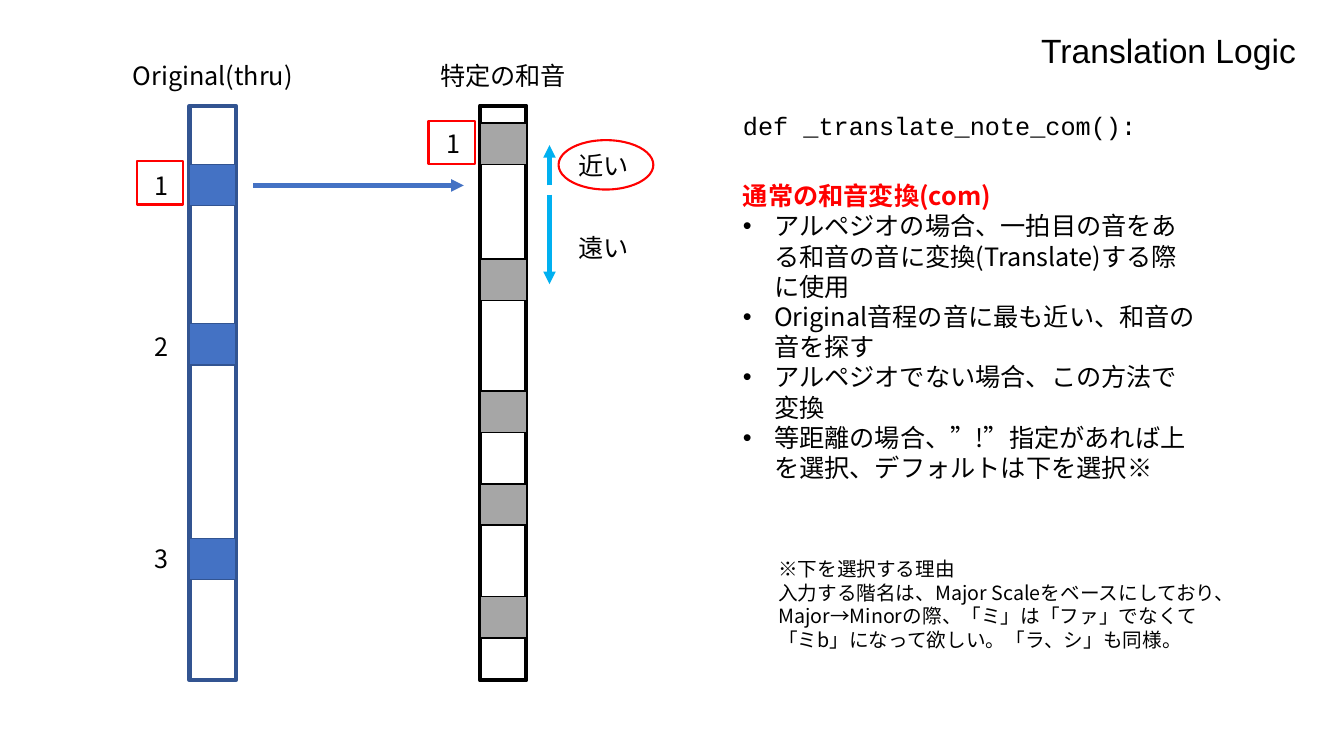
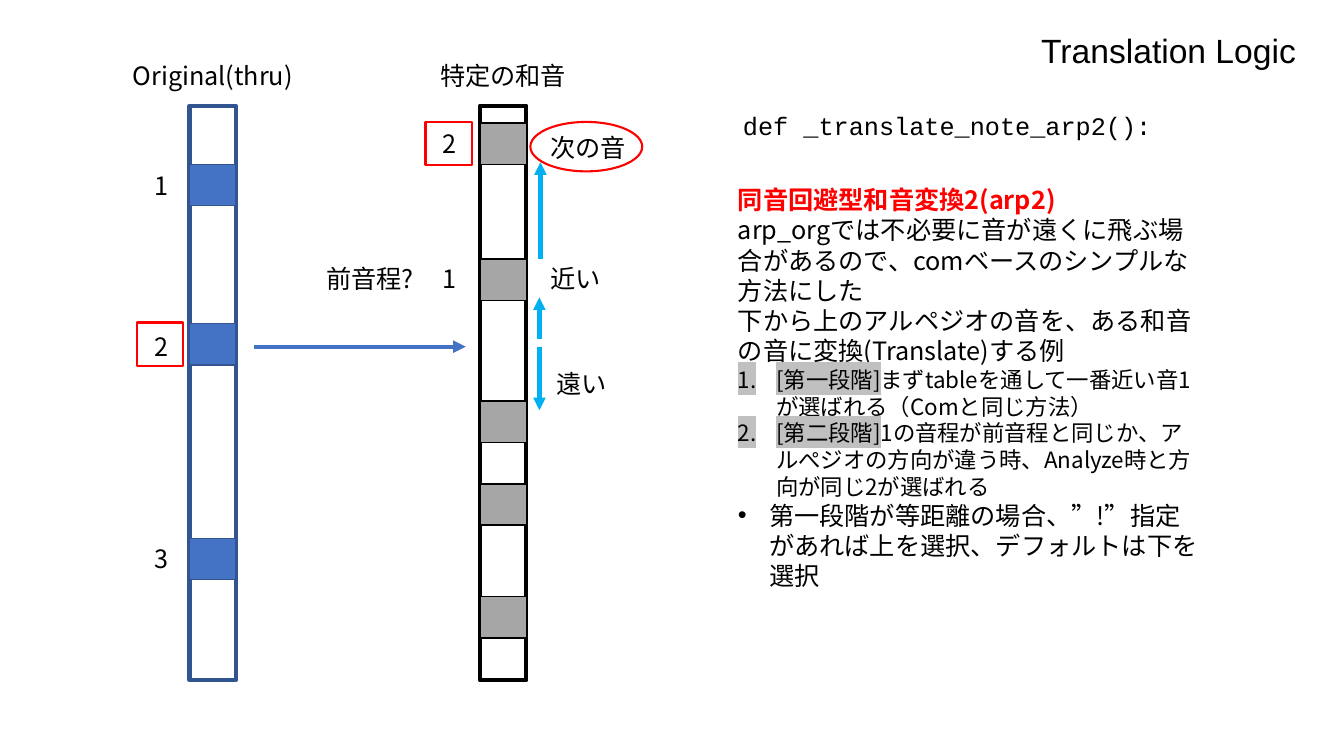
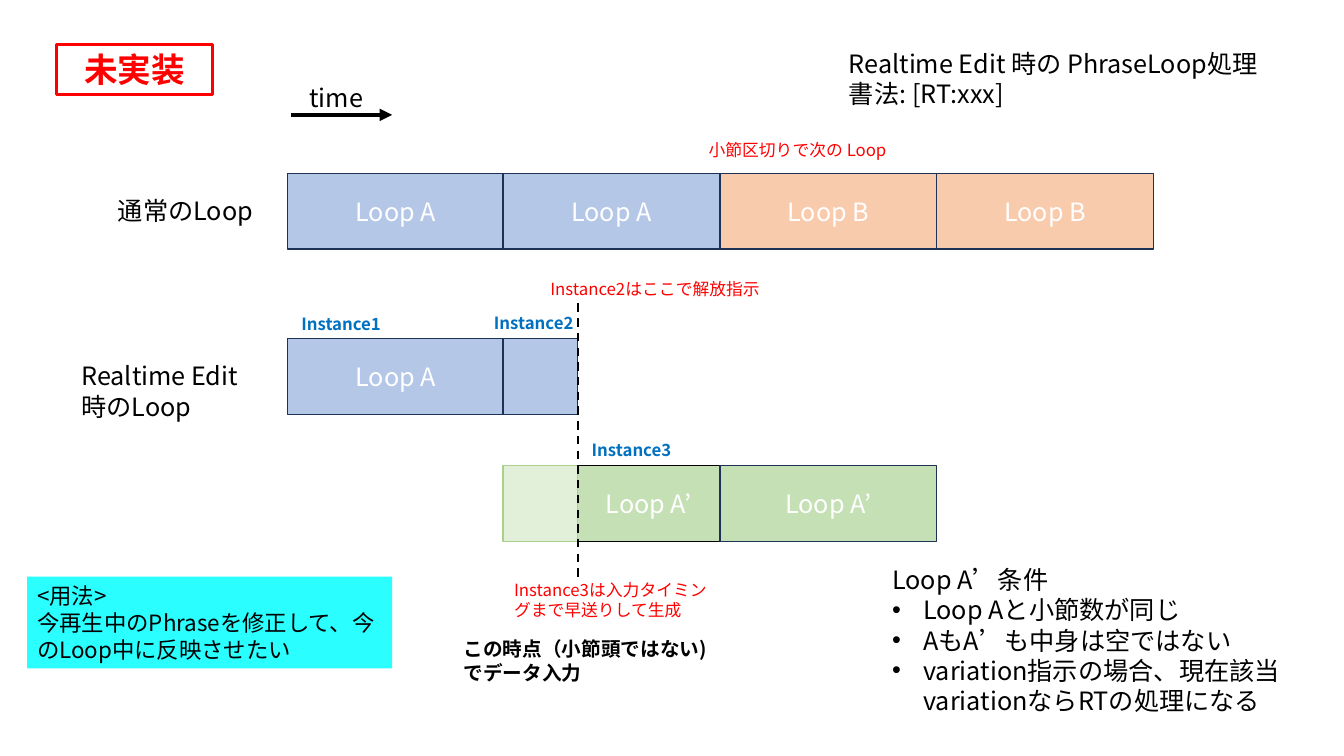
from dataclasses import dataclass
from typing import Optional

from lxml.etree import SubElement
from pptx import Presentation
from pptx.dml.color import RGBColor
from pptx.enum.dml import MSO_LINE
from pptx.enum.shapes import MSO_CONNECTOR, MSO_SHAPE
from pptx.enum.text import MSO_ANCHOR, MSO_AUTO_SIZE, PP_ALIGN
from pptx.oxml.ns import qn
from pptx.util import Pt

PX = 9144
TITLE_ONLY = 5
SANS = "Noto Sans CJK JP"
COLORS = {
    "black": "000000",
    "white": "FFFFFF",
    "red": "FF0000",
    "blue": "4472C4",
    "blue_edge": "325491",
    "gray": "A6A6A6",
    "highlight": "C0C0C0",
    "sky": "00B0F0",
    "instance": "0070C0",
    "loop_edge": "1E3256",
    "loop_a": "B4C7E7",
    "loop_b": "F8CBAD",
    "loop_new": "C5E0B4",
    "skipped": "E2F0D9",
    "skipped_edge": "A9D18E",
    "cyan": "2AFEFF",
}


@dataclass(frozen=True)
class Style:
    size: int = 18
    color: str = "black"
    bold: bool = False
    font: str = SANS
    align: PP_ALIGN = PP_ALIGN.LEFT


@dataclass(frozen=True)
class Line:
    text: str
    bullet: str = ""
    marked: str = ""
    style: Optional[Style] = None


BODY = Style()
CENTERED = Style(align=PP_ALIGN.CENTER)
HEADING = Style(color="red", bold=True)
STEP = Style(size=16)
NOTE = Style(size=14)
WARNING = Style(size=12, color="red")
INSTANCE = Style(size=12, color="instance", bold=True)
LOOP_NAME = Style(color="white", align=PP_ALIGN.CENTER)
CODE = Style(font="Courier New")
TITLE = Style(size=24, font="Arial", align=PP_ALIGN.CENTER)
STAMP = Style(size=24, color="red", bold=True, align=PP_ALIGN.CENTER)

COLUMN_TOP, COLUMN_WIDTH, COLUMN_HEIGHT, NOTE_HEIGHT = 105, 46, 570, 41
ORIGINAL_X, CHORD_X = 188, 476
ORIGINAL_NOTES = (163, 321, 534)
LOOPS_LEFT, LOOPS_SPAN, LOOP_WIDTH, LOOP_HEIGHT = 285, 859, 215, 75
NORMAL_Y, EDIT_Y, NEW_Y = 172, 336, 462
INPUT_X = 573


def rgb(name):
    return RGBColor.from_string(COLORS[name])


def emu(*lengths):
    return [length * PX for length in lengths]


def format_run(run, style, highlighted=False):
    run.font.size = Pt(style.size)
    run.font.bold = style.bold
    run.font.color.rgb = rgb(style.color)
    run.font.name = style.font
    properties = run.font._element
    SubElement(properties, qn("a:ea")).set("typeface", style.font)
    if highlighted:
        mark = SubElement(properties, qn("a:highlight"))
        SubElement(mark, qn("a:srgbClr")).set("val", COLORS["highlight"])
        properties.find(qn("a:latin")).addprevious(mark)


def set_bullet(paragraph, bullet):
    numbered = bullet == "1."
    indent = 38 if numbered else 31
    properties = paragraph._p.get_or_add_pPr()
    properties.set("marL", str(indent * PX))
    properties.set("indent", str(-indent * PX))
    SubElement(properties, qn("a:buFont")).set("typeface", "+mj-lt" if numbered else "Arial")
    if numbered:
        SubElement(properties, qn("a:buAutoNum")).set("type", "arabicPeriod")
    else:
        SubElement(properties, qn("a:buChar")).set("char", bullet)


def write(frame, lines, style):
    frame.word_wrap = True
    for index, entry in enumerate(lines):
        line = entry if isinstance(entry, Line) else Line(entry)
        line_style = line.style or style
        paragraph = frame.add_paragraph() if index else frame.paragraphs[0]
        paragraph.text = line.marked or line.text
        if line.marked:
            paragraph.add_run().text = line.text
        paragraph.alignment = line_style.align
        if line.bullet:
            set_bullet(paragraph, line.bullet)
        for position, run in enumerate(paragraph.runs):
            format_run(run, line_style, bool(line.marked) and position == 0)


def add_label(slide, box, *lines, style=BODY):
    frame = slide.shapes.add_textbox(*emu(*box)).text_frame
    write(frame, lines, style)
    frame.auto_size = MSO_AUTO_SIZE.SHAPE_TO_FIT_TEXT


def add_title(slide, box, *lines, style):
    title = slide.shapes.title
    title.left, title.top, title.width, title.height = emu(*box)
    title.text_frame.auto_size = MSO_AUTO_SIZE.NONE
    title.text_frame.vertical_anchor = MSO_ANCHOR.TOP
    write(title.text_frame, lines, style)


def add_box(slide, box, *lines, fill=None, edge=None, weight=1, style=BODY, kind=MSO_SHAPE.RECTANGLE):
    shape = slide.shapes.add_shape(kind, *emu(*box))
    shape.shadow.inherit = False
    if fill:
        shape.fill.solid()
        shape.fill.fore_color.rgb = rgb(fill)
    else:
        shape.fill.background()
    if edge:
        shape.line.color.rgb = rgb(edge)
        shape.line.width = Pt(weight)
    else:
        shape.line.fill.background()
    if lines:
        write(shape.text_frame, lines, style)


def add_line(slide, start, end, color, weight=3, arrow=True):
    line = slide.shapes.add_connector(MSO_CONNECTOR.STRAIGHT, *emu(*start, *end))
    line.line.color.rgb = rgb(color)
    line.line.width = Pt(weight)
    if arrow:
        SubElement(line.line._get_or_add_ln(), qn("a:tailEnd")).set("type", "triangle")
    else:
        line.line.dash_style = MSO_LINE.DASH
    SubElement(line._element.spPr, qn("a:effectLst"))


def add_column(slide, x, notes, fill, edge):
    add_box(slide, (x, COLUMN_TOP, COLUMN_WIDTH, COLUMN_HEIGHT), edge=edge, weight=3)
    for y in notes:
        add_box(slide, (x, y, COLUMN_WIDTH, NOTE_HEIGHT), fill=fill, edge=edge)


def add_ring(slide, box, kind=MSO_SHAPE.RECTANGLE):
    add_box(slide, box, edge="red", weight=1.5, kind=kind)


def add_number(slide, x, y, number):
    add_label(slide, (x, y, 52, 40), number, style=CENTERED)


def add_translation(deck, function, chord_notes):
    slide = deck.slides.add_slide(deck.slide_layouts[TITLE_ONLY])
    add_title(slide, (1001, 25, 316, 50), "Translation Logic", style=TITLE)
    add_label(slide, (120, 55, 182, 40), "Original(thru)", style=CENTERED)
    add_label(slide, (408, 55, 182, 40), "特定の和音", style=CENTERED)
    add_column(slide, ORIGINAL_X, ORIGINAL_NOTES, "blue", "blue_edge")
    add_column(slide, CHORD_X, chord_notes, "gray", "black")
    for number, y in zip("123", (164, 324, 534)):
        add_number(slide, 134, y, number)
    add_label(slide, (727, 105, 440, 40), f"def {function}():", style=CODE)
    return slide


def build_nearest_note(deck):
    slide = add_translation(deck, "_translate_note_com", (122, 257, 388, 480, 592))
    add_number(slide, 424, 122, "1")
    add_line(slide, (251, 184), (460, 184), "blue")
    add_line(slide, (545, 184), (545, 144), "sky")
    add_line(slide, (545, 193), (545, 282), "sky")
    add_label(slide, (564, 144, 76, 40), "近い")
    add_label(slide, (564, 226, 75, 40), "遠い")
    add_ring(slide, (554, 139, 94, 49), MSO_SHAPE.OVAL)
    add_ring(slide, (136, 160, 46, 43))
    add_ring(slide, (425, 120, 46, 43))
    add_label(
        slide, (727, 174, 470, 313),
        Line("通常の和音変換(com)", style=HEADING),
        Line("アルペジオの場合、一拍目の音をある和音の音に変換(Translate)する際に使用", "•"),
        Line("Original音程の音に最も近い、和音の音を探す", "•"),
        Line("アルペジオでない場合、この方法で変換", "•"),
        Line("等距離の場合、”!”指定があれば上を選択、デフォルトは下を選択※", "•"),
    )
    add_label(
        slide, (762, 548, 470, 104),
        "※下を選択する理由",
        "入力する階名は、Major Scaleをベースにしており、Major→Minorの際、"
        "「ミ」は「ファ」でなくて「ミb」になって欲しい。「ラ、シ」も同様。",
        style=NOTE,
    )


def build_repeat_avoidance(deck):
    slide = add_translation(deck, "_translate_note_arp2", (122, 257, 398, 480, 592))
    add_number(slide, 420, 256, "1")
    add_number(slide, 420, 122, "2")
    add_label(slide, (309, 256, 116, 40), "前音程?", style=CENTERED)
    add_line(slide, (252, 344), (462, 344), "blue")
    add_line(slide, (535, 336), (535, 295), "sky")
    add_line(slide, (535, 344), (535, 407), "sky")
    add_line(slide, (536, 257), (536, 161), "sky")
    add_label(slide, (536, 256, 76, 40), "近い")
    add_label(slide, (542, 361, 75, 40), "遠い")
    add_label(slide, (536, 126, 102, 40), "次の音")
    add_ring(slide, (526, 121, 111, 49), MSO_SHAPE.OVAL)
    add_ring(slide, (136, 320, 46, 43))
    add_ring(slide, (422, 121, 46, 43))
    add_label(
        slide, (722, 178, 483, 387),
        Line("同音回避型和音変換2(arp2)", style=HEADING),
        "arp_orgでは不必要に音が遠くに飛ぶ場合があるので、comベースのシンプルな方法にした",
        "下から上のアルペジオの音を、ある和音の音に変換(Translate)する例",
        Line("まずtableを通して一番近い音1が選ばれる（Comと同じ方法）", "1.", "[第一段階]", STEP),
        Line("1の音程が前音程と同じか、アルぺジオの方向が違う時、Analyze時と方向が同じ2が選ばれる",
             "1.", "[第二段階]", STEP),
        Line("第一段階が等距離の場合、”!”指定があれば上を選択、デフォルトは下を選択", "•"),
    )


def loop_x(index):
    return LOOPS_LEFT + LOOPS_SPAN * index // 4


def add_loop(slide, x, y, fill, *name, width=LOOP_WIDTH, edge="loop_edge"):
    add_box(slide, (x, y, width, LOOP_HEIGHT), *name, fill=fill, edge=edge, style=LOOP_NAME)


def build_realtime_loop(deck):
    slide = deck.slides.add_slide(deck.slide_layouts[TITLE_ONLY])
    add_title(slide, (832, 43, 432, 71), "Realtime Edit 時の PhraseLoop処理", "書法: [RT:xxx]", style=BODY)
    add_box(slide, (56, 44, 155, 50), "未実装", edge="red", weight=2.25, style=STAMP)
    add_line(slide, (289, 114), (389, 114), "black")
    add_label(slide, (289, 77, 89, 40), "time", style=CENTERED)

    add_label(slide, (107, 189, 155, 40), "通常のLoop")
    for index, letter in enumerate("AABB"):
        add_loop(slide, loop_x(index), NORMAL_Y, f"loop_{letter.lower()}", f"Loop {letter}")

    add_label(slide, (71, 353, 200, 71), "Realtime Edit時のLoop")
    cut_width = INPUT_X - loop_x(1)
    add_loop(slide, loop_x(0), EDIT_Y, "loop_a", "Loop A")
    add_loop(slide, loop_x(1), EDIT_Y, "loop_a", width=cut_width)
    add_loop(slide, INPUT_X, NEW_Y, "loop_new", "Loop A’", width=loop_x(2) - INPUT_X, edge="black")
    add_loop(slide, loop_x(1), NEW_Y, "skipped", width=cut_width, edge="skipped_edge")
    add_line(slide, (INPUT_X, 301), (INPUT_X, 573), "black", 1.5, arrow=False)
    add_loop(slide, loop_x(2), NEW_Y, "loop_new", "Loop A’")

    for number, (x, y) in enumerate(((289, 306), (480, 305), (577, 431)), 1):
        add_label(slide, (x, y, 112, 30), f"Instance{number}", style=INSTANCE)
    add_label(slide, (693, 134, 236, 30), "小節区切りで次の Loop", style=WARNING)
    add_label(slide, (536, 272, 236, 30), "Instance2はここで解放指示", style=WARNING)
    add_label(slide, (500, 570, 215, 50), "Instance3は入力タイミングまで早送りして生成", style=WARNING)
    add_label(slide, (450, 627, 265, 57), "この時点（小節頭ではない)でデータ入力", style=Style(size=14, bold=True))
    add_box(slide, (27, 572, 362, 91), "<用法>", "今再生中のPhraseを修正して、今のLoop中に反映させたい",
            fill="cyan", style=STEP)
    add_label(
        slide, (875, 555, 415, 162),
        "Loop A’条件",
        Line("Loop Aと小節数が同じ", "•"),
        Line("AもA’も中身は空ではない", "•"),
        Line("variation指示の場合、現在該当variationならRTの処理になる", "•"),
    )


def main():
    deck = Presentation()
    deck.slide_width, deck.slide_height = emu(1333, 750)
    build_nearest_note(deck)
    build_repeat_avoidance(deck)
    build_realtime_loop(deck)
    deck.save("out.pptx")


if __name__ == "__main__":
    main()
